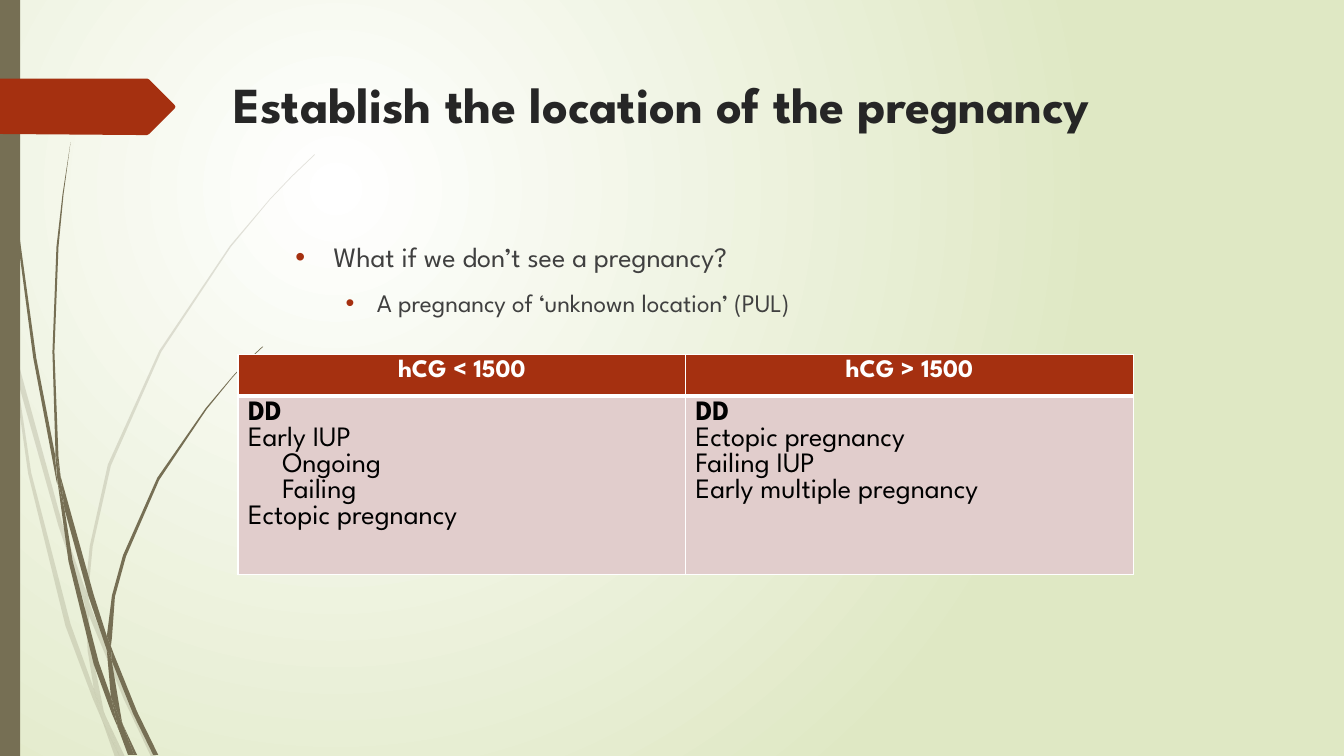
from dataclasses import dataclass
from lxml.etree import SubElement
from pptx import Presentation
from pptx.dml.color import RGBColor
from pptx.enum.shapes import MSO_SHAPE
from pptx.enum.text import MSO_ANCHOR, PP_ALIGN
from pptx.oxml import parse_xml
from pptx.oxml.ns import nsdecls, qn
from pptx.util import Pt

PX = 9144  # one px is a hundredth of an inch


@dataclass(frozen=True)
class Theme:
    font: str = "League Spartan"
    title: str = "262626"
    body: str = "404040"
    accent: str = "A53010"
    stem: str = "766F54"
    cell: str = "E1CDCC"
    white: str = "FFFFFF"
    black: str = "000000"
    glow: str = "DFE8C4"
    title_size: int = 36
    large_size: int = 20
    small_size: int = 18


theme = Theme()


def paint(shape, color):
    shape.shadow.inherit = False
    shape.fill.solid()
    shape.fill.fore_color.rgb = RGBColor.from_string(color)
    shape.line.fill.background()


def style(paragraph, size, color, bold=False):
    for run in paragraph.runs:
        run.font.name = theme.font
        run.font.size = Pt(size)
        run.font.bold = bold
        run.font.color.rgb = RGBColor.from_string(color)


presentation = Presentation()
presentation.slide_width = 1333 * PX
presentation.slide_height = 750 * PX
slide = presentation.slides.add_slide(presentation.slide_layouts[6])
shapes = slide.shapes

# Background: round glow, white in the upper left
slide.background.fill.solid()
background = slide.background._cSld.find(qn("p:bg")).find(qn("p:bgPr"))
background.replace(background[0], parse_xml(
    f'<a:gradFill {nsdecls("a")} rotWithShape="1"><a:gsLst>'
    f'<a:gs pos="0"><a:srgbClr val="{theme.white}"/></a:gs>'
    f'<a:gs pos="100000"><a:srgbClr val="{theme.glow}"/></a:gs></a:gsLst>'
    '<a:path path="circle"><a:fillToRect l="25000" t="25000" r="75000" b="75000"/></a:path>'
    '</a:gradFill>'))

# Grass stems: outline corners, pale ones behind dark ones
pale_stems = [
    [(11, 350), (9, 322), (0, 282), (0, 299), (10, 344)],
    [(58, 522), (84, 599), (85, 586), (62, 520), (14, 345), (17, 376)],
    [(92, 607), (88, 596), (88, 610), (123, 694), (150, 751), (155, 751), (127, 692)],
    [(119, 751), (124, 751), (105, 711)],
    [(93, 683), (70, 619), (31, 469), (17, 376), (11, 350), (28, 470), (65, 621),
     (92, 693), (101, 714), (99, 707)],
    [(84, 599), (87, 646), (93, 683), (96, 692), (105, 711), (103, 706), (91, 646),
     (88, 610), (88, 608)],
    [(88, 584), (92, 542), (110, 462), (160, 349), (229, 245), (268, 198), (290, 175),
     (312, 154), (312, 153), (289, 175), (268, 197), (228, 244), (158, 348), (107, 461),
     (89, 542), (85, 584), (85, 586), (88, 596)],
    [(101, 714), (114, 751), (119, 751)],
    [(88, 608), (88, 610), (88, 596), (85, 586), (84, 599)],
    [(96, 692), (93, 683), (99, 707), (101, 714), (119, 751), (105, 711)],
]
dark_stems = [
    [(7, 110), (17, 233), (33, 355), (56, 477), (57, 481), (55, 457), (55, 453),
     (36, 355), (19, 232), (8, 109), (5, 48), (4, 0), (3, 0), (4, 48)],
    [(88, 592), (106, 645), (106, 633), (106, 631), (93, 590), (60, 472), (64, 505)],
    [(113, 649), (110, 641), (111, 656), (132, 708), (152, 749), (157, 749), (136, 706)],
    [(110, 691), (98, 657), (72, 556), (64, 505), (57, 477), (68, 557), (93, 659),
     (111, 708), (117, 722), (116, 717)],
    [(60, 472), (58, 453), (54, 349), (58, 245), (63, 193), (70, 141), (62, 193),
     (56, 245), (52, 349), (55, 449)],
    [(133, 749), (136, 749), (122, 719)],
    [(57, 477), (64, 505), (60, 472), (55, 449), (55, 453)],
    [(111, 633), (114, 592), (125, 552), (158, 476), (205, 406), (231, 374), (245, 359),
     (261, 344), (260, 344), (245, 358), (231, 373), (204, 405), (156, 474), (122, 551),
     (111, 591), (106, 631), (110, 641)],
    [(117, 722), (127, 749), (131, 749)],
    [(106, 645), (110, 691), (116, 706), (122, 719), (121, 716), (111, 656), (109, 651)],
    [(106, 645), (109, 651), (111, 656), (110, 641), (106, 631)],
    [(116, 706), (110, 691), (116, 717), (117, 722), (130, 749), (133, 749), (122, 719)],
]
for stems, opacity in ((pale_stems, 20), (dark_stems, 100)):
    for corners in stems:
        builder = shapes.build_freeform(*corners[0], scale=PX)
        builder.add_line_segments(corners[1:])
        stem = builder.convert_to_shape()
        paint(stem, theme.stem)
        if opacity < 100:
            color = stem._element.spPr.find(qn("a:solidFill"))[0]
            SubElement(color, qn("a:alpha"), val=str(opacity * 1000))

# Left bar and red pointer
bar = shapes.add_shape(MSO_SHAPE.RECTANGLE, 0, 0, 20 * PX, 750 * PX)
paint(bar, theme.stem)
builder = shapes.build_freeform(0, 78, scale=PX)
builder.add_line_segments([(146, 78), (148, 79), (173, 104), (174, 106), (173, 108),
                           (148, 133), (146, 134), (136, 134), (0, 133)])
paint(builder.convert_to_shape(), theme.accent)

# Title
title = shapes.add_textbox(222 * PX, 68 * PX, 975 * PX, 140 * PX)
title.text_frame.word_wrap = True
title.text_frame.text = "Establish the location of the pregnancy"
style(title.text_frame.paragraphs[0], theme.title_size, theme.title, bold=True)

# Bulleted question
body = shapes.add_textbox(283 * PX, 233 * PX, 975 * PX, 413 * PX)
body.text_frame.word_wrap = True
bullets = [
    ("What if we don’t see a pregnancy?", theme.large_size, 38, 38),
    ("A pregnancy of ‘unknown location’ (PUL)", theme.small_size, 81, 31),
]
for level, (text, size, margin, hanging) in enumerate(bullets):
    paragraph = body.text_frame.paragraphs[0] if level == 0 else body.text_frame.add_paragraph()
    paragraph.text = text
    paragraph.level = level
    if level:
        paragraph.space_before = Pt(10)
    properties = paragraph._p.get_or_add_pPr()
    properties.set("marL", str(margin * PX))
    properties.set("indent", str(-hanging * PX))
    bullet_color = SubElement(properties, qn("a:buClr"))
    SubElement(bullet_color, qn("a:srgbClr"), val=theme.accent)
    SubElement(properties, qn("a:buFont"), typeface="Arial")
    SubElement(properties, qn("a:buChar"), char="•")
    style(paragraph, size, theme.body)

# Table of differential diagnoses by hCG level
columns = [
    ("hCG < 1500", ["DD", "Early IUP", "Ongoing", "Failing", "Ectopic pregnancy"]),
    ("hCG > 1500", ["DD", "Ectopic pregnancy", "Failing IUP", "Early multiple pregnancy"]),
]
indented = ("Ongoing", "Failing")
table = shapes.add_table(2, 2, 236 * PX, 352 * PX, 888 * PX, 205 * PX).table
table.rows[0].height = 41 * PX
table.rows[1].height = 164 * PX
for column, (heading, diagnoses) in enumerate(columns):
    for row, lines in enumerate(([heading], diagnoses)):
        cell = table.cell(row, column)
        cell.vertical_anchor = MSO_ANCHOR.TOP
        cell.fill.solid()
        cell.fill.fore_color.rgb = RGBColor.from_string(theme.cell if row else theme.accent)
        cell.text_frame.text = "\n".join(lines)
        for index, paragraph in enumerate(cell.text_frame.paragraphs):
            if row == 0:
                paragraph.alignment = PP_ALIGN.CENTER
                style(paragraph, theme.small_size, theme.white, bold=True)
            else:
                style(paragraph, theme.large_size, theme.black, bold=index == 0)
            if paragraph.text in indented:
                paragraph._p.get_or_add_pPr().set("marL", str(34 * PX))
        borders = cell._tc.get_or_add_tcPr()
        for position, side in enumerate(("lnL", "lnR", "lnT", "lnB")):
            thick = (row, side) in ((0, "lnB"), (1, "lnT"))
            borders.insert(position, parse_xml(
                f'<a:{side} {nsdecls("a")} w="{38100 if thick else 12700}"><a:solidFill>'
                f'<a:srgbClr val="{theme.white}"/></a:solidFill></a:{side}>'))

presentation.save("out.pptx")
